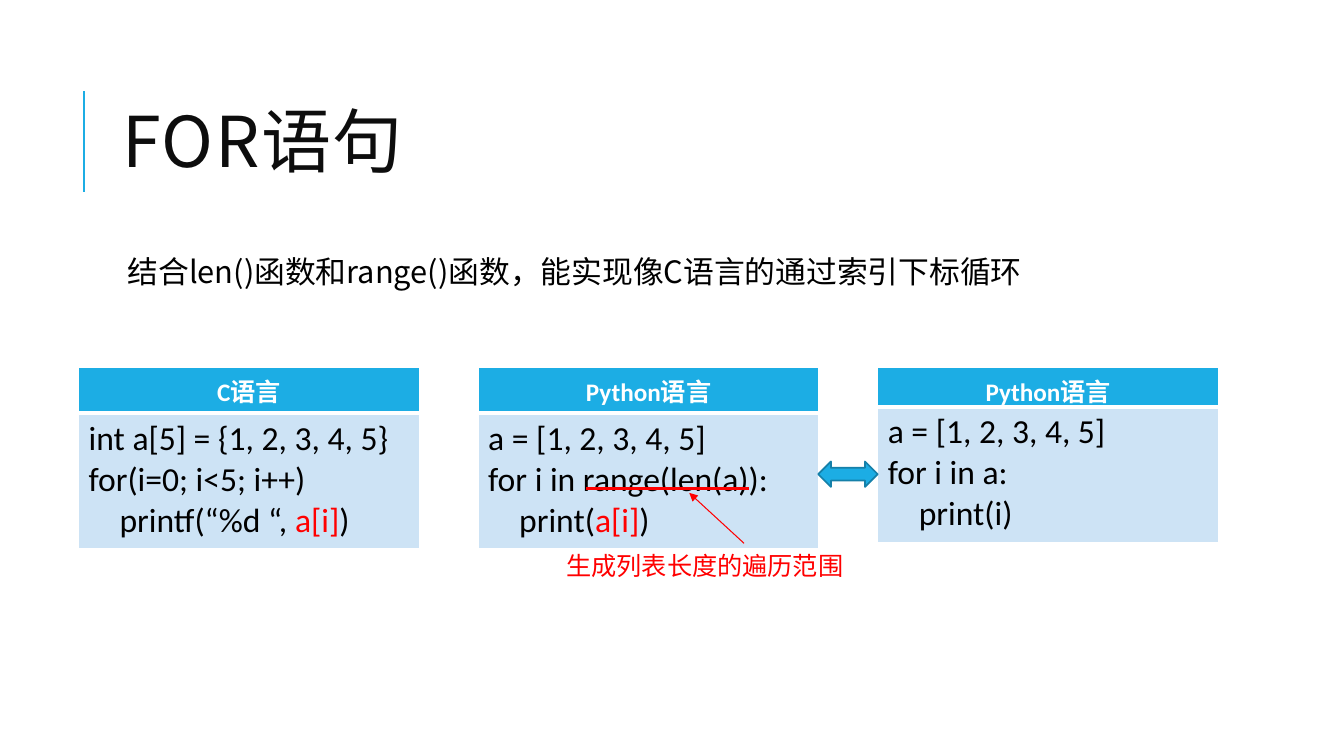
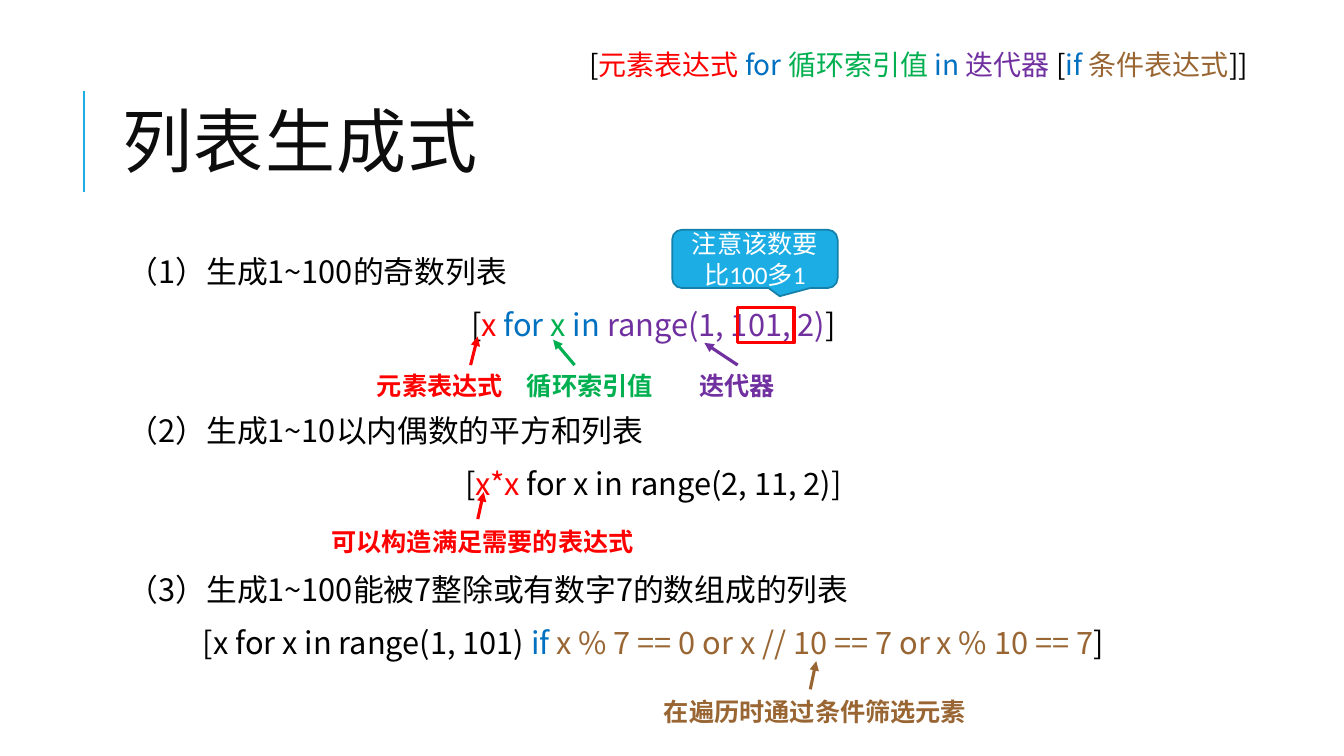
"""Build two slides on Python for loops and list comprehensions."""
from lxml.etree import SubElement
from pptx import Presentation
from pptx.dml.color import RGBColor as RGB
from pptx.enum.shapes import MSO_CONNECTOR as CONN, MSO_SHAPE as SHAPE
from pptx.enum.text import MSO_ANCHOR as ANCHOR, PP_ALIGN as ALIGN
from pptx.oxml import parse_xml
from pptx.oxml.ns import nsdecls, qn
from pptx.util import Cm, Pt

COLORS = {
    "accent": "1CADE4", "edge": "1580A9", "cell": "CDE3F5", "title": "0D0D0D",
    "black": "000000", "white": "FFFFFF", "red": "FF0000", "blue": "0070C0",
    "green": "00B050", "purple": "7030A0", "brown": "996633",
}
RGBS = {name: RGB.from_string(value) for name, value in COLORS.items()}
CJK, LATIN = "Noto Sans CJK SC", "Calibri"


def write(p, runs, size, font=LATIN, bold=False):
    for text, color in runs:
        r = p.add_run()
        r.text = text
        r.font.size, r.font.name, r.font.bold = Pt(size), font, bold
        r.font.color.rgb = RGBS[color]
        SubElement(r.font._element, qn("a:ea")).set("typeface", CJK)


def add_line(s, x1, y1, x2, y2, color, width, arrow=False):
    c = s.shapes.add_connector(CONN.STRAIGHT, Cm(x1), Cm(y1), Cm(x2), Cm(y2))
    c.line.color.rgb, c.line.width = RGBS[color], Pt(width)
    spPr = c._element.spPr
    if arrow:
        SubElement(spPr.find(qn("a:ln")), qn("a:tailEnd")).set("type", "triangle")
    SubElement(spPr, qn("a:effectLst"))


prs = Presentation()
prs.slide_width, prs.slide_height = Cm(33.87), Cm(19.05)

pages = [
    ("FOR语句", [
        (ALIGN.LEFT, 12, [("结合len()函数和range()函数，能实现像C语言的通过索引下标循环", "black")]),
    ]),
    ("列表生成式", [
        (ALIGN.LEFT, 12, [("（1）生成1~100的奇数列表", "black")]),
        (ALIGN.CENTER, 12, [
            ("[", "black"), ("x ", "red"), ("for ", "blue"), ("x ", "green"),
            ("in ", "blue"), ("range(1, 101, 2)", "purple"), ("]", "black")]),
        (ALIGN.LEFT, 50, [("（2）生成1~10以内偶数的平方和列表", "black")]),
        (ALIGN.CENTER, 12, [
            ("[", "black"), ("x*x", "red"), (" for x in range(2, 11, 2)]", "black")]),
        (ALIGN.LEFT, 50, [("（3）生成1~100能被7整除或有数字7的数组成的列表", "black")]),
        (ALIGN.CENTER, 12, [
            ("[x for x in range(1, 101) ", "black"), ("if", "blue"),
            (" x % 7 == 0 or x // 10 == 7 or x % 10 == 7", "brown"), ("]", "black")]),
    ]),
]
slides = []
for title, body in pages:
    s = prs.slides.add_slide(prs.slide_layouts[6])
    slides.append(s)
    add_line(s, 2.11, 4.83, 2.11, 2.29, "accent", 1.5)

    tf = s.shapes.add_textbox(Cm(2.84), Cm(1.63), Cm(27), Cm(4.17)).text_frame
    tf.word_wrap, tf.vertical_anchor = True, ANCHOR.MIDDLE
    p = tf.paragraphs[0]
    p.line_spacing = 0.8
    write(p, [(title, "title")], 50, CJK)
    p.runs[0].font._element.set("spc", "100")

    tf = s.shapes.add_textbox(Cm(2.84), Cm(6.35), Cm(27), Cm(11.18)).text_frame
    tf.word_wrap = True
    tf.margin_left = Cm(0.38)
    tf.margin_top = tf.margin_right = tf.margin_bottom = Cm(0.13)
    for i, (align, before, runs) in enumerate(body):
        p = tf.add_paragraph() if i else tf.paragraphs[0]
        p.alignment, p.line_spacing = align, 0.9
        p.space_before, p.space_after = Pt(before), Pt(2)
        write(p, runs, 22, CJK)
loop_slide, list_slide = slides

INDENT = Cm(0.78)
tables = [
    ("C语言", 1.16, 0.13, [
        (0, [("int a[5] = {1, 2, 3, 4, 5}", "black")]),
        (0, [("for(i=0; i<5; i++)", "black")]),
        (INDENT, [("printf(“%d “, ", "black"), ("a[i]", "red"), (")", "black")])]),
    ("Python语言", 1.16, 0.13, [
        (0, [("a = [1, 2, 3, 4, 5]", "black")]),
        (0, [("for i in range(len(a)):", "black")]),
        (INDENT, [("print(", "black"), ("a[i]", "red"), (")", "black")])]),
    ("Python语言", 1, 0, [
        (0, [("a = [1, 2, 3, 4, 5]", "black")]),
        (0, [("for i in a:", "black")]),
        (INDENT, [("print(i)", "black")])]),
]
for n, (heading, head_height, head_margin, code) in enumerate(tables):
    frame = loop_slide.shapes.add_table(
        2, 1, Cm(1.98 + 10.07 * n), Cm(9.25), Cm(8.59), Cm(head_height + 3.42))
    table = frame.table
    table.rows[0].height, table.rows[1].height = Cm(head_height), Cm(3.42)
    head, cell = table.cell(0, 0), table.cell(1, 0)
    head.vertical_anchor, head.margin_bottom = ANCHOR.MIDDLE, Cm(head_margin)
    p = head.text_frame.paragraphs[0]
    p.alignment = ALIGN.CENTER
    write(p, [(heading, "white")], 18, bold=True)
    tf = cell.text_frame
    for i, (indent, runs) in enumerate(code):
        p = tf.add_paragraph() if i else tf.paragraphs[0]
        p._p.get_or_add_pPr().set("marL", str(int(indent)))
        write(p, runs, 24)
    for box, fill, inner in ((head, "accent", "B"), (cell, "cell", "T")):
        box.fill.solid()
        box.fill.fore_color.rgb = RGBS[fill]
        tcPr = box._tc.get_or_add_tcPr()
        for i, side in enumerate("LRTB"):
            width = Pt(3 if side == inner else 1)
            tcPr.insert(i, parse_xml(
                f'<a:ln{side} {nsdecls("a")} w="{int(width)}"><a:solidFill>'
                f'<a:srgbClr val="{COLORS["white"]}"/></a:solidFill></a:ln{side}>'))

labels = [
    (loop_slide, 14.02, 13.74, 7.57, "生成列表长度的遍历范围", "red", False),
    (list_slide, 9.25, 9.2, 3.78, "元素表达式", "red", True),
    (list_slide, 13.03, 9.2, 3.71, "循环索引值", "green", True),
    (list_slide, 17.37, 9.2, 2.44, "迭代器", "purple", True),
    (list_slide, 8.1, 13.13, 8.2, "可以构造满足需要的表达式", "red", True),
    (list_slide, 16.48, 17.42, 8.13, "在遍历时通过条件筛选元素", "brown", True),
]
for s, x, y, w, text, color, bold in labels:
    tf = s.shapes.add_textbox(Cm(x), Cm(y), Cm(w), Cm(1.02)).text_frame
    tf.word_wrap = False
    write(tf.paragraphs[0], [(text, color)], 18, bold=bold)

tf = list_slide.shapes.add_textbox(Cm(14.17), Cm(1.07), Cm(17.96), Cm(1.12)).text_frame
tf.word_wrap = True
p = tf.paragraphs[0]
p.alignment = ALIGN.CENTER
write(p, [
    ("[", "black"), ("元素表达式 ", "red"), ("for ", "blue"), ("循环索引值 ", "green"),
    ("in ", "blue"), ("迭代器 ", "purple"), ("[", "black"), ("if ", "blue"),
    ("条件表达式", "brown"), ("]]", "black")], 20, CJK)

add_line(loop_slide, 18.75, 13.69, 17.37, 12.42, "red", 0.75, arrow=True)
add_line(loop_slide, 14.78, 12.32, 18.87, 12.32, "red", 2.25)
for x1, y1, x2, y2, color in [
    (11.86, 9.2, 12.04, 8.48, "red"),
    (14.48, 9.2, 13.94, 8.56, "green"),
    (18.59, 9.2, 17.75, 8.64, "purple"),
    (12.04, 13.08, 12.19, 12.4, "red"),
    (20.42, 17.37, 20.57, 16.66, "brown"),
]:
    add_line(list_slide, x1, y1, x2, y2, color, 2.25, arrow=True)

shapes = []
for s, kind, x, y, w, h, fill, edge, width in [
    (loop_slide, SHAPE.LEFT_RIGHT_ARROW, 20.62, 11.63, 1.5, 0.64, "accent", "edge", 1.25),
    (list_slide, SHAPE.ROUNDED_RECTANGULAR_CALLOUT, 16.94, 5.79, 4.17, 1.47, "accent", "edge", 1.25),
    (list_slide, SHAPE.RECTANGLE, 18.59, 7.75, 1.42, 0.89, None, "red", 2.25),
]:
    sp = s.shapes.add_shape(kind, Cm(x), Cm(y), Cm(w), Cm(h))
    sp.shadow.inherit = False
    if fill:
        sp.fill.solid()
        sp.fill.fore_color.rgb = RGBS[fill]
    else:
        sp.fill.background()
    sp.line.color.rgb, sp.line.width = RGBS[edge], Pt(width)
    shapes.append(sp)

callout = shapes[1]
for i, value in enumerate((0.15, 0.64, 0.17)):
    callout.adjustments[i] = value
tf = callout.text_frame
tf.word_wrap, tf.vertical_anchor = True, ANCHOR.MIDDLE
p = tf.paragraphs[0]
p.alignment = ALIGN.CENTER
write(p, [("注意该数要比100多1", "white")], 18)

prs.save("out.pptx")
